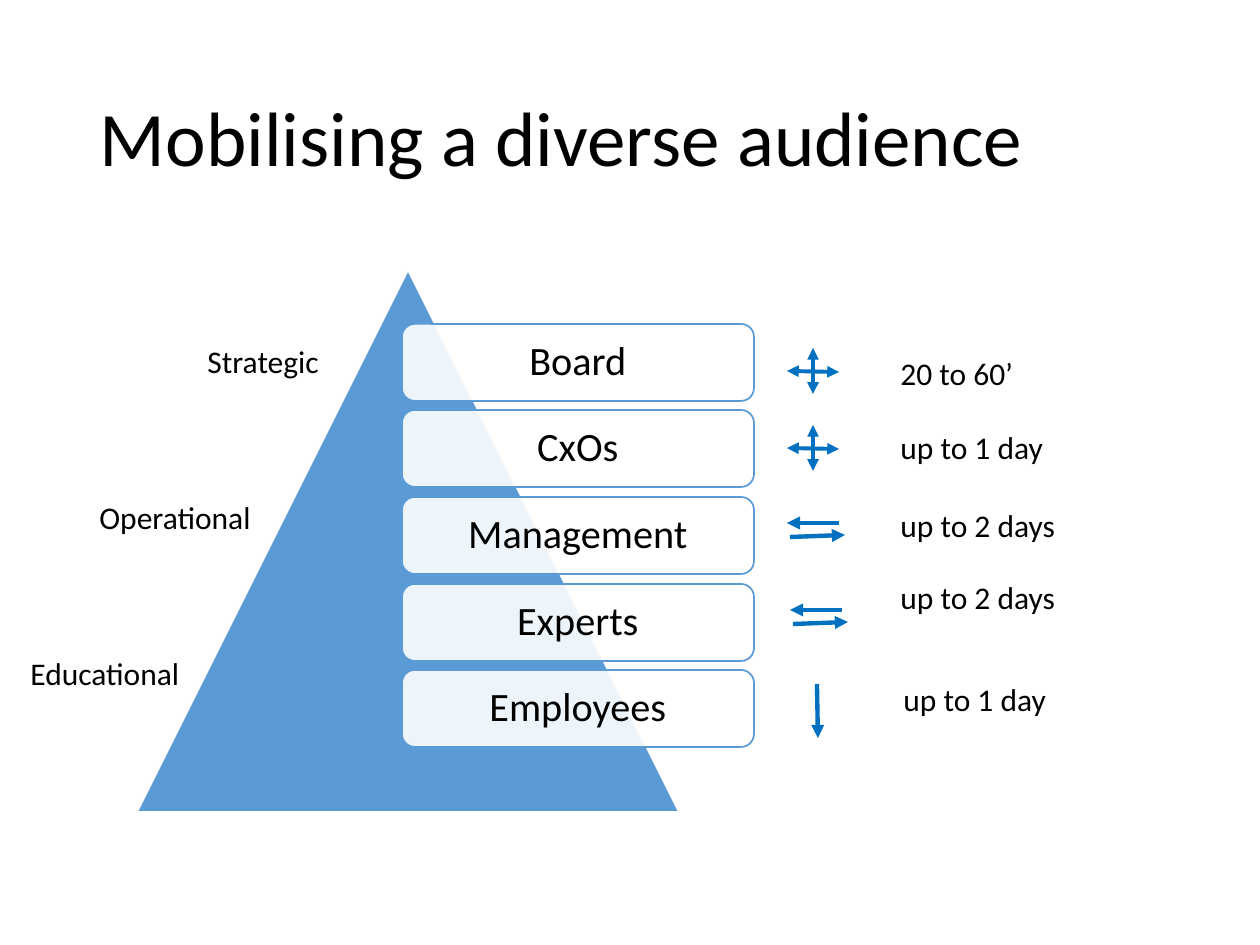
from dataclasses import dataclass

from lxml.etree import SubElement
from pptx import Presentation
from pptx.dml.color import RGBColor
from pptx.enum.shapes import MSO_CONNECTOR as Connector, MSO_SHAPE as Shape
from pptx.enum.text import MSO_ANCHOR as Anchor, MSO_AUTO_SIZE as AutoSize, PP_ALIGN as Align
from pptx.oxml.ns import qn
from pptx.util import Emu, Pt

PX_PER_INCH = 126


@dataclass(frozen=True)
class Theme:
    font: str = "Calibri"
    text: RGBColor = RGBColor(0, 0, 0)
    white: RGBColor = RGBColor(255, 255, 255)
    pyramid: RGBColor = RGBColor(0x5B, 0x9B, 0xD5)
    arrow: RGBColor = RGBColor(0x00, 0x70, 0xC0)
    title_size: int = 44
    level_size: int = 23
    label_size: int = 18
    outline: float = 1
    cross_line: float = 2.25
    flow_line: float = 2.5


THEME = Theme()
LEVELS = ["Board", "CxOs", "Management", "Experts", "Employees"]
FIRST_TOP, LAST_TOP = 324, 670
FOCUSES = [("Strategic", 195, 336), ("Operational", 87, 492), ("Educational", 18, 648)]
DURATIONS = [
    ("20 to 60’", 888, 348),
    ("up to 1 day", 888, 422),
    ("up to 2 days", 888, 500),
    ("up to 2 days", 888, 572),
    ("up to 1 day", 891, 674),
]


def px(*lengths):
    return [Emu(round(length * 914400 / PX_PER_INCH)) for length in lengths]


def write(frame, text, size, align=Align.LEFT, spacing=None):
    frame.word_wrap = True
    paragraph = frame.paragraphs[0]
    paragraph.text = text
    paragraph.alignment = align
    paragraph.line_spacing = spacing
    paragraph.font.name = THEME.font
    paragraph.font.size = Pt(size)
    paragraph.font.color.rgb = THEME.text


def add_title(slide, text):
    title = slide.shapes.title
    title.left, title.top, title.width, title.height = px(87, 50, 1086, 183)
    title.text_frame.auto_size = AutoSize.NONE
    title.text_frame.vertical_anchor = Anchor.MIDDLE
    write(title.text_frame, text, THEME.title_size, spacing=0.9)


def add_block(slide, preset, box, fill, line):
    block = slide.shapes.add_shape(preset, *px(*box))
    block.shadow.inherit = False
    block.fill.solid()
    block.fill.fore_color.rgb = fill
    block.line.color.rgb = line
    block.line.width = Pt(THEME.outline)
    return block


def add_level(slide, name, top):
    level = add_block(slide, Shape.ROUNDED_RECTANGLE, (402, top, 352, 77), THEME.white, THEME.pyramid)
    color = level.fill._xPr.find(qn("a:solidFill"))[0]
    SubElement(color, qn("a:alpha"), val="90000")
    level.text_frame.vertical_anchor = Anchor.MIDDLE
    write(level.text_frame, name, THEME.level_size, Align.CENTER, 0.9)


def add_label(slide, text, left, top):
    label = slide.shapes.add_textbox(*px(left, top, 193, 51))
    write(label.text_frame, text, THEME.label_size)


def add_arrow(slide, start, end, width=THEME.flow_line, both_ends=False):
    arrow = slide.shapes.add_connector(Connector.STRAIGHT, *px(*start, *end))
    arrow.line.color.rgb = THEME.arrow
    arrow.line.width = Pt(width)
    line = arrow.line._get_or_add_ln()
    for tip in ("a:headEnd", "a:tailEnd") if both_ends else ("a:tailEnd",):
        SubElement(line, qn(tip), type="triangle")
    SubElement(arrow._element.spPr, qn("a:effectLst"))


def add_cross(slide, x, y):
    add_arrow(slide, (x, y - 23), (x, y + 23), THEME.cross_line, True)
    add_arrow(slide, (x + 26, y + 1), (x - 26, y), THEME.cross_line, True)


def add_exchange(slide, left, y):
    add_arrow(slide, (left + 52, y), (left, y))
    add_arrow(slide, (left + 3, y + 14), (left + 58, y + 12))


def main():
    deck = Presentation()
    deck.slide_width, deck.slide_height = px(1260, 945)
    slide = deck.slides.add_slide(deck.slide_layouts[5])
    add_title(slide, "Mobilising a diverse audience")

    add_block(slide, Shape.ISOSCELES_TRIANGLE, (137, 270, 542, 542), THEME.pyramid, THEME.white)
    pitch = (LAST_TOP - FIRST_TOP) / (len(LEVELS) - 1)
    for row, name in enumerate(LEVELS):
        add_level(slide, name, round(FIRST_TOP + row * pitch))

    for y in (371, 448):
        add_cross(slide, 813, y)
    for left, y in ((787, 523), (790, 610)):
        add_exchange(slide, left, y)
    add_arrow(slide, (817, 684), (818, 738))

    for label in FOCUSES + DURATIONS:
        add_label(slide, *label)
    deck.save("out.pptx")


if __name__ == "__main__":
    main()
